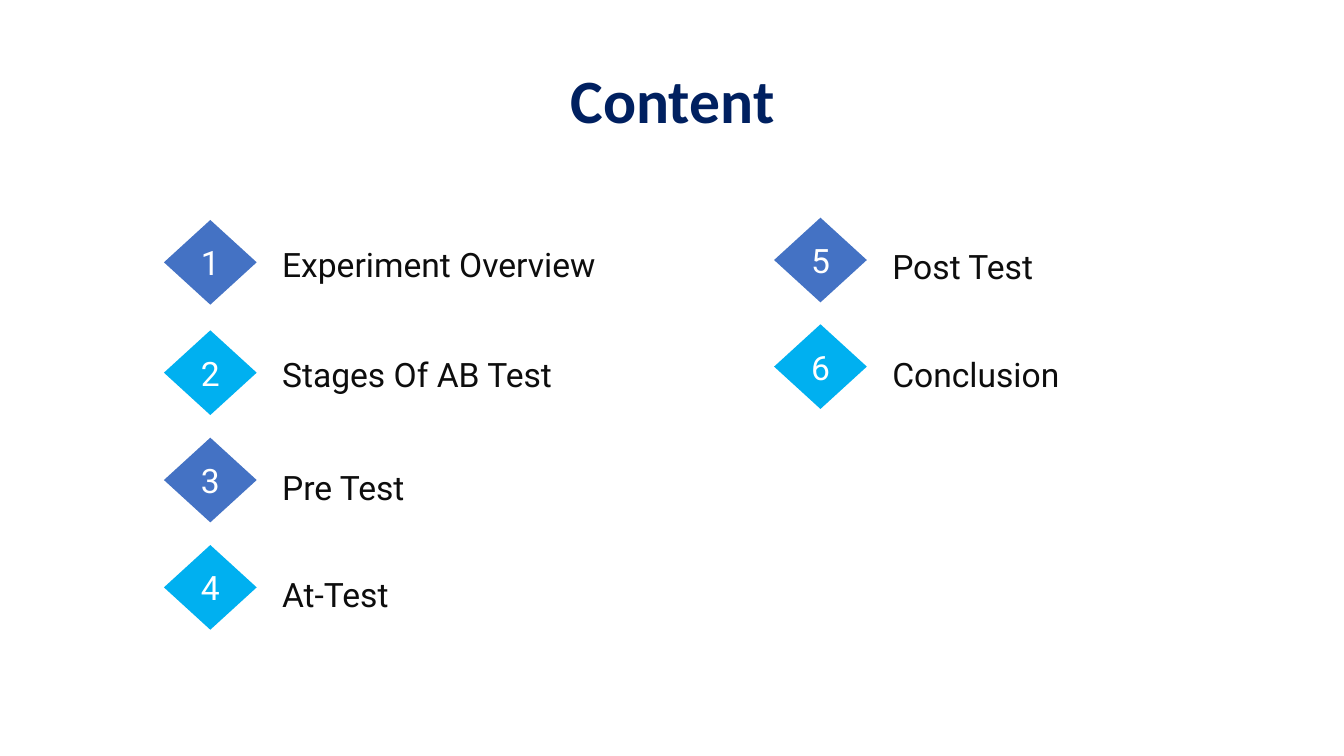
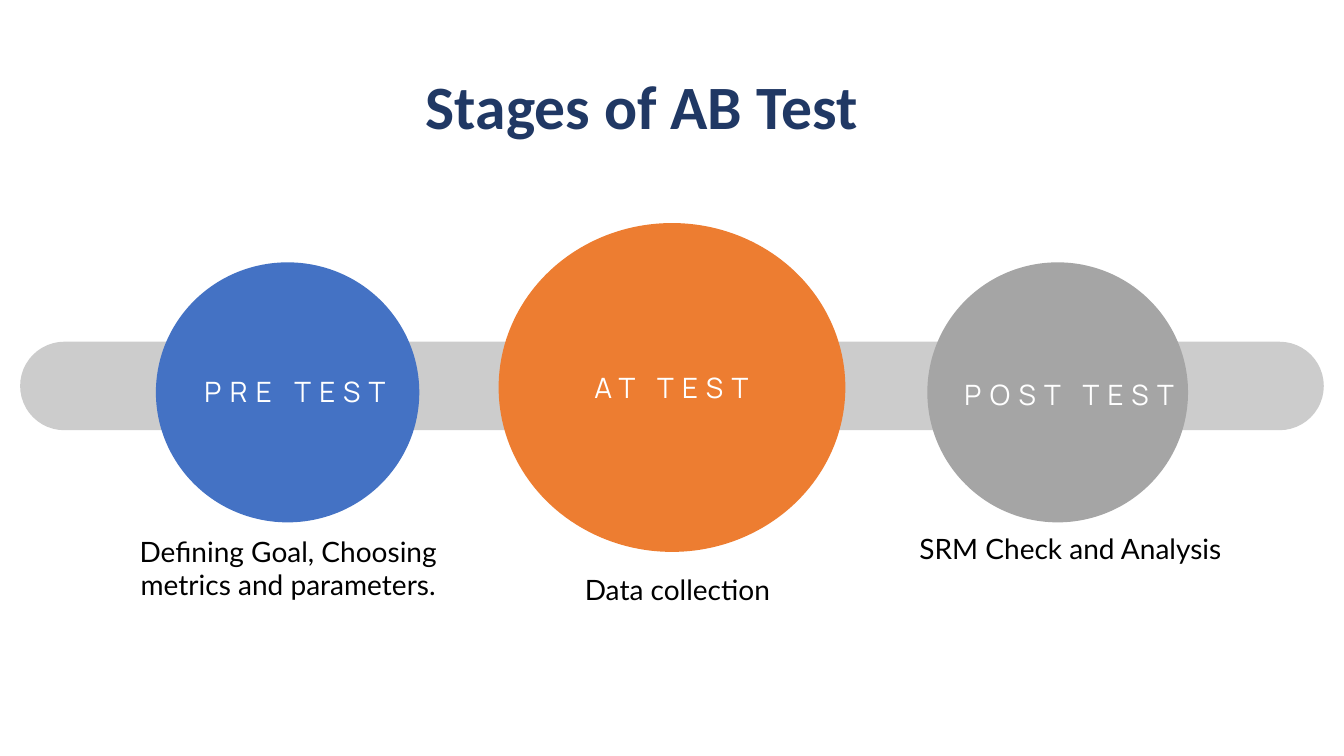
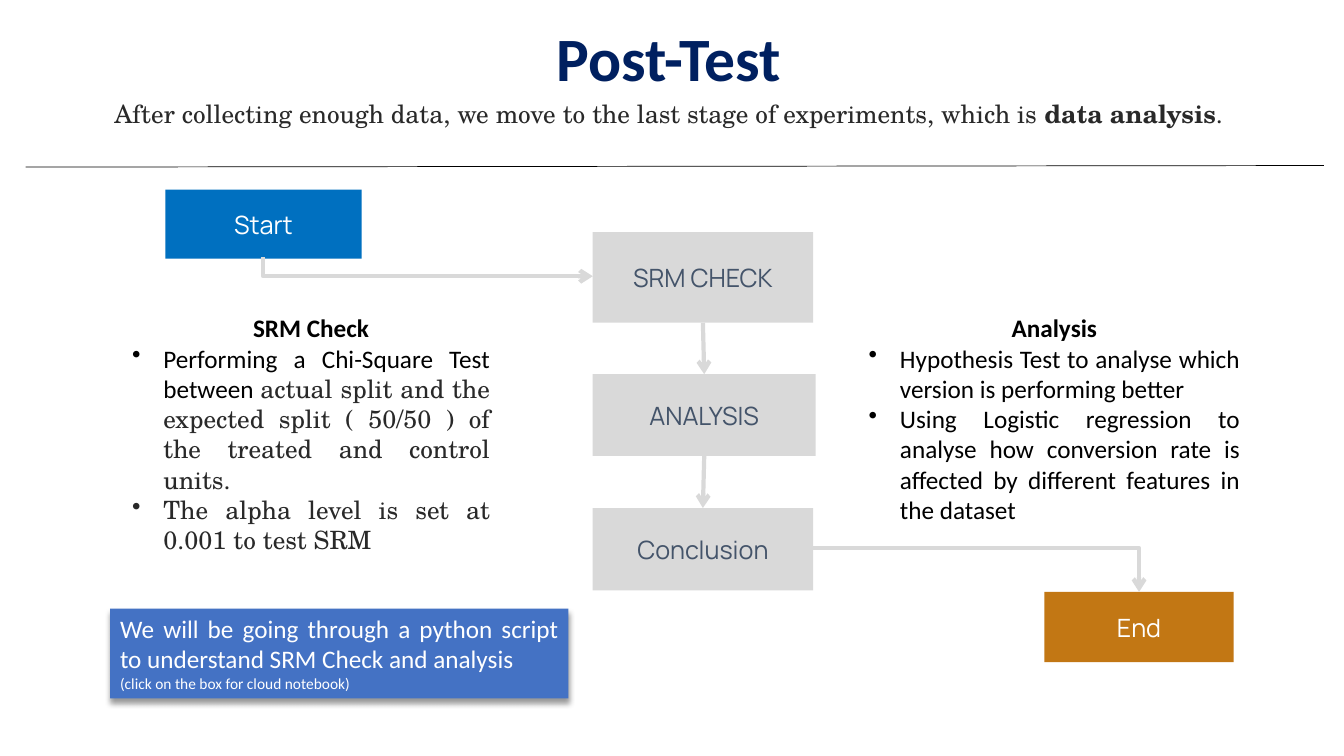
"""Build three slides about the stages of an A/B test."""
from lxml.etree import SubElement
from pptx import Presentation
from pptx.dml.color import RGBColor
from pptx.enum.shapes import MSO_CONNECTOR, MSO_SHAPE
from pptx.enum.text import MSO_ANCHOR, PP_ALIGN
from pptx.oxml import parse_xml
from pptx.oxml.ns import nsdecls, qn
from pptx.util import Inches, Pt

hue = RGBColor.from_string
NAVY, BLUE, SKY, GREY = "002060", "4472C4", "00B0F0", "D9D9D9"
WHITE, BLACK, INK = "FFFFFF", "000000", "292929"
SERIF = "TeX Gyre Schola"

deck = Presentation()
deck.slide_width, deck.slide_height = Inches(13.33), Inches(7.5)
COL, ROW = deck.slide_width / 100, deck.slide_height / 100


def box(page, at, kind=None, fill=None):
    """Add a text box, or a filled shape, placed in columns and rows."""
    spot = [int(n * unit) for n, unit in zip(at, (COL, ROW, COL, ROW))]
    if kind is None:
        shape = page.shapes.add_textbox(*spot)
    else:
        shape = page.shapes.add_shape(kind, *spot)
        shape.shadow.inherit = False
        shape.fill.solid()
        shape.fill.fore_color.rgb = hue(fill)
        shape.line.fill.background()
    shape.text_frame.word_wrap = True
    return shape


def write(para, text, font, size, tone, align=PP_ALIGN.CENTER, bold=False):
    """Fill a paragraph with one run and set its style."""
    para.alignment = align
    para.font.name, para.font.size, para.font.bold = font, Pt(size), bold
    para.font.color.rgb = hue(tone)
    run = para.add_run()
    run.text = text
    return run


pages = []
for text, tone, at, inset in (
    ("Content", NAVY, (6.9, 4, 86.3, 19.3), 0.75),
    ("Stages of AB Test", "203864", (8.9, 4.8, 83.1, 19.3), 6.1),
    ("Post-Test", NAVY, (6.6, 1.3, 86.3, 13.6), 0.75),
):
    page = deck.slides.add_slide(deck.slide_layouts[5])
    title = page.shapes.title
    title.left, title.width = int(at[0] * COL), int(at[2] * COL)
    title.top, title.height = int(at[1] * ROW), int(at[3] * ROW)
    frame = title.text_frame
    frame.vertical_anchor = MSO_ANCHOR.MIDDLE
    frame.margin_right = int(inset * COL)
    write(frame.paragraphs[0], text, "Calibri", 44, tone, bold=True)
    frame.paragraphs[0].line_spacing = 0.9
    pages.append(page)
agenda, stages, post = pages

topics = (
    ("Experiment Overview", 12.2, 29.1, 31.6, 27.5),
    ("Stages Of AB Test", 12.2, 43.7, 46.1, 22.1),
    ("Pre Test", 12.2, 57.9, 61.1, 22.1),
    ("At-Test", 12.2, 72.1, 75.3, 22.1),
    ("Post Test", 57.6, 28.8, 31.9, 22.1),
    ("Conclusion", 57.6, 42.9, 46.1, 22.1),
)
for count, (text, left, top, line, wide) in enumerate(topics, 1):
    fill = BLUE if count % 2 else SKY
    mark = box(agenda, (left, top, 6.9, 11.2), MSO_SHAPE.DIAMOND, fill)
    write(mark.text_frame.paragraphs[0], str(count), "Roboto", 24, WHITE)
    label = box(agenda, (left + 8.05, line, wide, 6.7))
    write(label.text_frame.paragraphs[0], text, "Roboto", 24, "0D0D0D", PP_ALIGN.LEFT)

bar = box(stages, (1.5, 45.2, 97, 11.7), MSO_SHAPE.ROUNDED_RECTANGLE, "CCCCCC")
bar.adjustments[0] = 0.5
for name, fill, disc, label, note, text in (
    ("PRE TEST", BLUE, (11.6, 34.7, 19.6, 34.4), (13.9, 48.9, 16.1, 5.9),
     (8.9, 70, 25.1, 10.3), "Defining Goal, Choosing metrics and parameters."),
    ("AT TEST", "ED7D31", (37.1, 29.5, 25.8, 43.5), (41.9, 48.3, 16.1, 5.9),
     (37.5, 75.1, 25.8, 5.9), "Data collection"),
    ("POST TEST", "A5A5A5", (69, 34.7, 19.4, 34.4), (70.7, 49.3, 17.7, 5.9),
     (67.1, 69.6, 25.1, 5.9), "SRM Check and Analysis"),
):
    box(stages, disc, MSO_SHAPE.OVAL, fill)
    para = box(stages, label).text_frame.paragraphs[0]
    run = write(para, name, "Manrope", 20, WHITE)
    run.font._element.set("spc", "600")
    write(box(stages, note).text_frame.paragraphs[0], text, "Lato", 20, BLACK)

para = box(post, (0, 12.4, 99.5, 5.3)).text_frame.paragraphs[0]
write(para, "After collecting enough data, we move to the last stage of experiments, which is ",
      SERIF, 18, INK)
for text, bold in (("data analysis", True), (".", False)):
    run = para.add_run()
    run.text, run.font.bold = text, bold

for text, at, fill, tone in (
    ("Start", (12.3, 25.1, 14.6, 9.1), "0070C0", WHITE),
    ("SRM CHECK", (44.1, 30.7, 16.4, 12), GREY, "44546A"),
    ("ANALYSIS", (44.1, 49.5, 16.6, 10.8), GREY, "44546A"),
    ("Conclusion", (44.1, 67.2, 16.4, 10.9), GREY, "44546A"),
    ("End", (77.7, 78.3, 14.1, 9.3), "C27714", WHITE),
):
    step = box(post, at, MSO_SHAPE.RECTANGLE, fill)
    write(step.text_frame.paragraphs[0], text, "Manrope", 18, tone)

for ends, bent, turn, tone, thick in (
    ((32.56, 13.47, 31.13, 57.07), True, 270, GREY, 3),
    ((52.3, 42.7, 52.4, 49.5), False, 0, GREY, 3),
    ((52.4, 60.3, 52.3, 67.2), False, 0, GREY, 3),
    ((60.5, 72.5, 84.75, 78.3), True, 0, GREY, 3),
    ((98.5, 21.9, 1.9, 22.1), False, 0, BLACK, 0.5),
):
    spot = [int(n * unit) for n, unit in zip(ends, (COL, ROW, COL, ROW))]
    kind = MSO_CONNECTOR.ELBOW if bent else MSO_CONNECTOR.STRAIGHT
    link = post.shapes.add_connector(kind, *spot)
    link.line.color.rgb, link.line.width = hue(tone), Pt(thick)
    props = link._element.spPr
    if bent:
        props.find(qn("a:prstGeom")).set("prst", "bentConnector2")
    if turn:
        props.find(qn("a:xfrm")).set("rot", str(turn * 60000))
    if tone == GREY:
        SubElement(props.find(qn("a:ln")), qn("a:tailEnd"), type="arrow")
    SubElement(props, qn("a:effectLst"))

note = box(post, (8.2, 80.5, 34.1, 11.9), MSO_SHAPE.RECTANGLE, BLUE)
note._element.spPr.find(qn("a:effectLst")).append(parse_xml(
    f'<a:outerShdw {nsdecls("a")} blurRad="{Pt(4)}" dist="{Pt(3)}" dir="5400000">'
    '<a:srgbClr val="000000"><a:alpha val="40000"/></a:srgbClr></a:outerShdw>'))
frame = note.text_frame
frame.vertical_anchor = MSO_ANCHOR.TOP
write(frame.paragraphs[0],
      "We will be going through a python script to understand SRM Check and analysis",
      "Calibri", 18, WHITE, PP_ALIGN.JUSTIFY)
write(frame.add_paragraph(), "(click on the box for cloud notebook)",
      "Calibri", 11, WHITE, PP_ALIGN.JUSTIFY)

for head, at, items in (
    ("SRM Check", (9.1, 40.7, 28.1, 29.6), (
        ("Performing a Chi-Square Test between ", "Calibri", BLACK,
         "actual split and the expected split ( 50/50 ) of the treated and control units."),
        ("The alpha level is set at 0.001 to test SRM", SERIF, INK, ""))),
    ("Analysis", (63.9, 40.7, 29.1, 29.6), (
        ("Hypothesis Test to analyse which version is performing better",
         "Calibri", BLACK, ""),
        ("Using Logistic regression to analyse how conversion rate is affected by "
         "different features in the dataset", "Calibri", BLACK, ""))),
):
    frame = box(post, at).text_frame
    write(frame.paragraphs[0], head, "Calibri", 18, BLACK, bold=True)
    for text, font, tone, rest in items:
        para = frame.add_paragraph()
        write(para, text, font, 18, tone, PP_ALIGN.JUSTIFY)
        props = para._p.get_or_add_pPr()
        props.set("marL", str(Inches(0.31)))
        props.set("indent", str(-Inches(0.31)))
        props.insert(0, parse_xml(f'<a:buChar {nsdecls("a")} char="•"/>'))
        if rest:
            run = para.add_run()
            run.text, run.font.name = rest, SERIF
            run.font.color.rgb = hue(INK)

deck.save("out.pptx")
